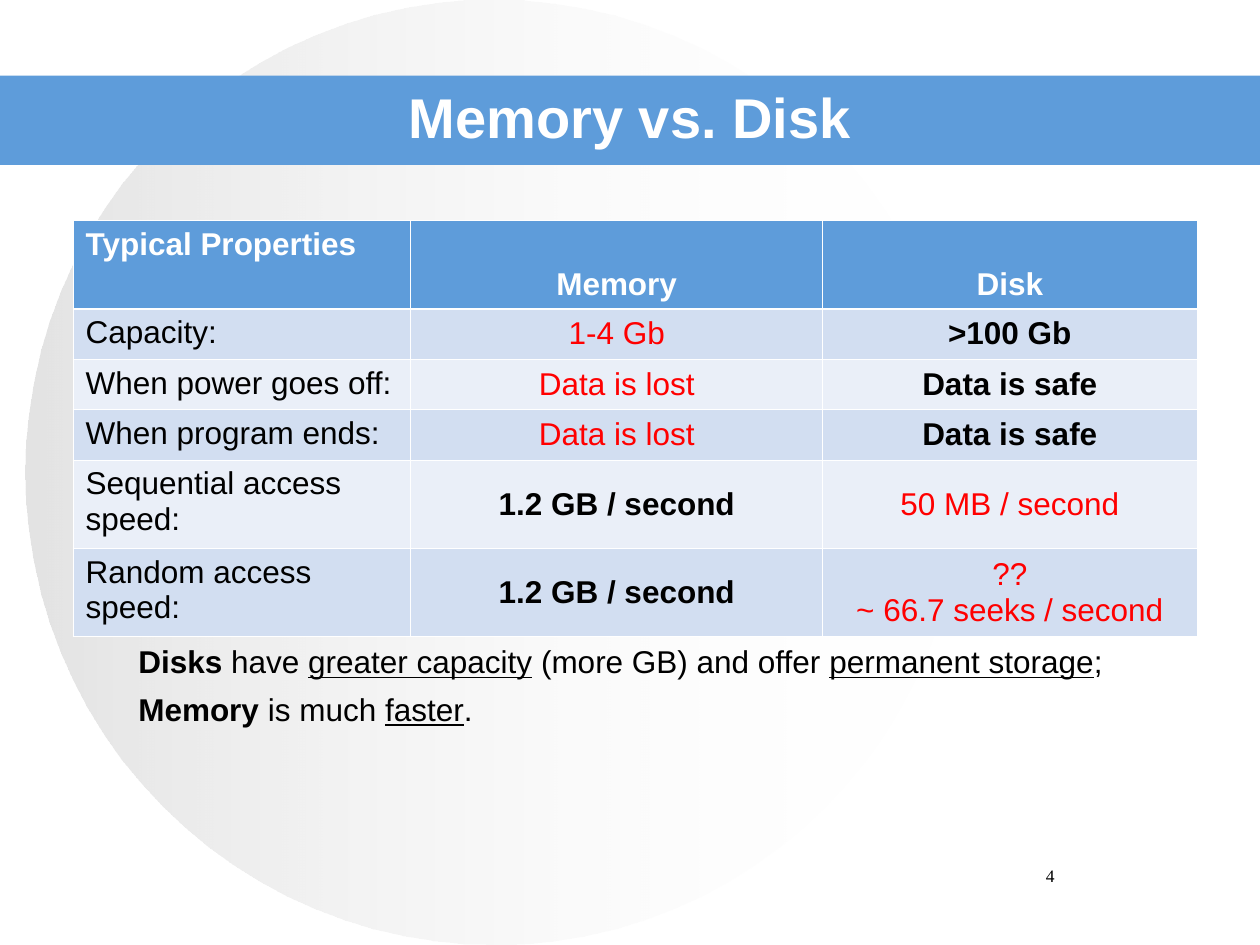
from lxml.etree import SubElement
from pptx import Presentation
from pptx.dml.color import RGBColor
from pptx.enum.shapes import MSO_SHAPE
from pptx.enum.text import MSO_ANCHOR, PP_ALIGN
from pptx.oxml.ns import qn
from pptx.util import Inches, Pt

BLUE, WHITE, BLACK, RED = "5E9CDA", "FFFFFF", "000000", "FF0000"
BANDS = "D2DEF1", "EAEFF8"
TITLE = "Memory vs. Disk"
HEADS = ["Typical Properties", "Memory", "Disk"]
# label, memory, disk, column of the better value
ROWS = [
    ("Capacity:", "1-4 Gb", ">100 Gb", 2),
    ("When power goes off:", "Data is lost", "Data is safe", 2),
    ("When program ends:", "Data is lost", "Data is safe", 2),
    ("Sequential access speed:", "1.2 GB / second", "50 MB / second", 1),
    ("Random access speed:", "1.2 GB / second", "??\n~ 66.7 seeks / second", 1),
]
WIDTHS = [2.68, 3.27, 2.97]
HEIGHTS = [0.7, 0.4, 0.4, 0.4, 0.7, 0.7]
# b: bold, u: underlined
NOTES = [
    [("Disks", "b"), (" have ", ""), ("greater capacity", "u"),
     (" (more GB) and offer ", ""), ("permanent storage", "u"), (";", "")],
    [("Memory", "b"), (" is much ", ""), ("faster", "u"), (".", "")],
]

deck = Presentation()
deck.slide_width, deck.slide_height = Inches(10), Inches(7.5)
slide = deck.slides.add_slide(deck.slide_layouts[6])


def rgb(code):
    return RGBColor.from_string(code)


def box(*place):
    return [Inches(n) for n in place]


def style(para, size, color, bold=False, align=PP_ALIGN.CENTER, face="Arial"):
    font = para.font
    font.name, font.size, font.bold = face, Pt(size), bold
    font.color.rgb = rgb(color)
    para.alignment = align


def shape(kind, *place):
    item = slide.shapes.add_shape(kind, *box(*place))
    item.shadow.inherit = False
    item.line.fill.background()
    return item


def frame(*place):
    text = slide.shapes.add_textbox(*box(*place)).text_frame
    text.word_wrap = True
    return text


def edge(cell, head):
    """Draw white cell borders, thicker under the heading row."""
    props = cell._tc.get_or_add_tcPr()
    for side in "LRTB":
        width = 1.47 if side == head else 0.45
        line = SubElement(props, qn("a:ln" + side), w=str(Pt(width)))
        fill = SubElement(line, qn("a:solidFill"))
        SubElement(fill, qn("a:srgbClr"), val=WHITE)


# Backdrop
disc = shape(MSO_SHAPE.OVAL, 0.2, 0, 7.44, 7.5)
disc.fill.gradient()
disc.fill.gradient_angle = 0
for stop, code, alpha in zip(disc.fill.gradient_stops, ("C0C0C0", WHITE), (44, 0)):
    stop.color.rgb = rgb(code)
    tint = stop._gs.find(qn("a:srgbClr"))
    SubElement(tint, qn("a:alpha"), val=str(alpha * 1000))
band = shape(MSO_SHAPE.RECTANGLE, 0, 0.6, 10, 0.71)
band.fill.solid()
band.fill.fore_color.rgb = rgb(BLUE)

# Title and page number
title = frame(0.5, 0.3, 9, 1.25)
title.vertical_anchor = MSO_ANCHOR.MIDDLE
title.text = TITLE
style(title.paragraphs[0], 32, WHITE, True)
page = frame(7.17, 6.82, 2.33, 0.5)
page.text = "4"
style(page.paragraphs[0], 10, BLACK, face="Times New Roman")

# Table
table = slide.shapes.add_table(
    len(HEIGHTS), len(WIDTHS), *box(0.58, 1.75, sum(WIDTHS), sum(HEIGHTS))).table
for col, width in zip(table.columns, WIDTHS):
    col.width = Inches(width)
for row, height in zip(table.rows, HEIGHTS):
    row.height = Inches(height)
for r, (*texts, best) in enumerate([(*HEADS, None), *ROWS]):
    for c, text in enumerate(texts):
        cell = table.cell(r, c)
        edge(cell, {0: "B", 1: "T"}.get(r))
        cell.fill.solid()
        cell.fill.fore_color.rgb = rgb(BANDS[(r - 1) % 2] if r else BLUE)
        if c:
            cell.vertical_anchor = MSO_ANCHOR.MIDDLE if r else MSO_ANCHOR.BOTTOM
        color = WHITE if r == 0 else BLACK if c in (0, best) else RED
        cell.text = text
        for para in cell.text_frame.paragraphs:
            style(para, 18, color, r == 0 or c == best,
                  PP_ALIGN.CENTER if c else PP_ALIGN.LEFT)

# Summary
notes = frame(1, 5.05, 8.5, 0.8)
for i, parts in enumerate(NOTES):
    para = notes.add_paragraph() if i else notes.paragraphs[0]
    style(para, 18, BLACK, align=PP_ALIGN.LEFT)
    if i:
        para.space_before = Pt(5.5)
    for text, mark in parts:
        run = para.add_run()
        run.text = text
        if mark == "b":
            run.font.bold = True
        elif mark == "u":
            run.font.underline = True

deck.save("out.pptx")
